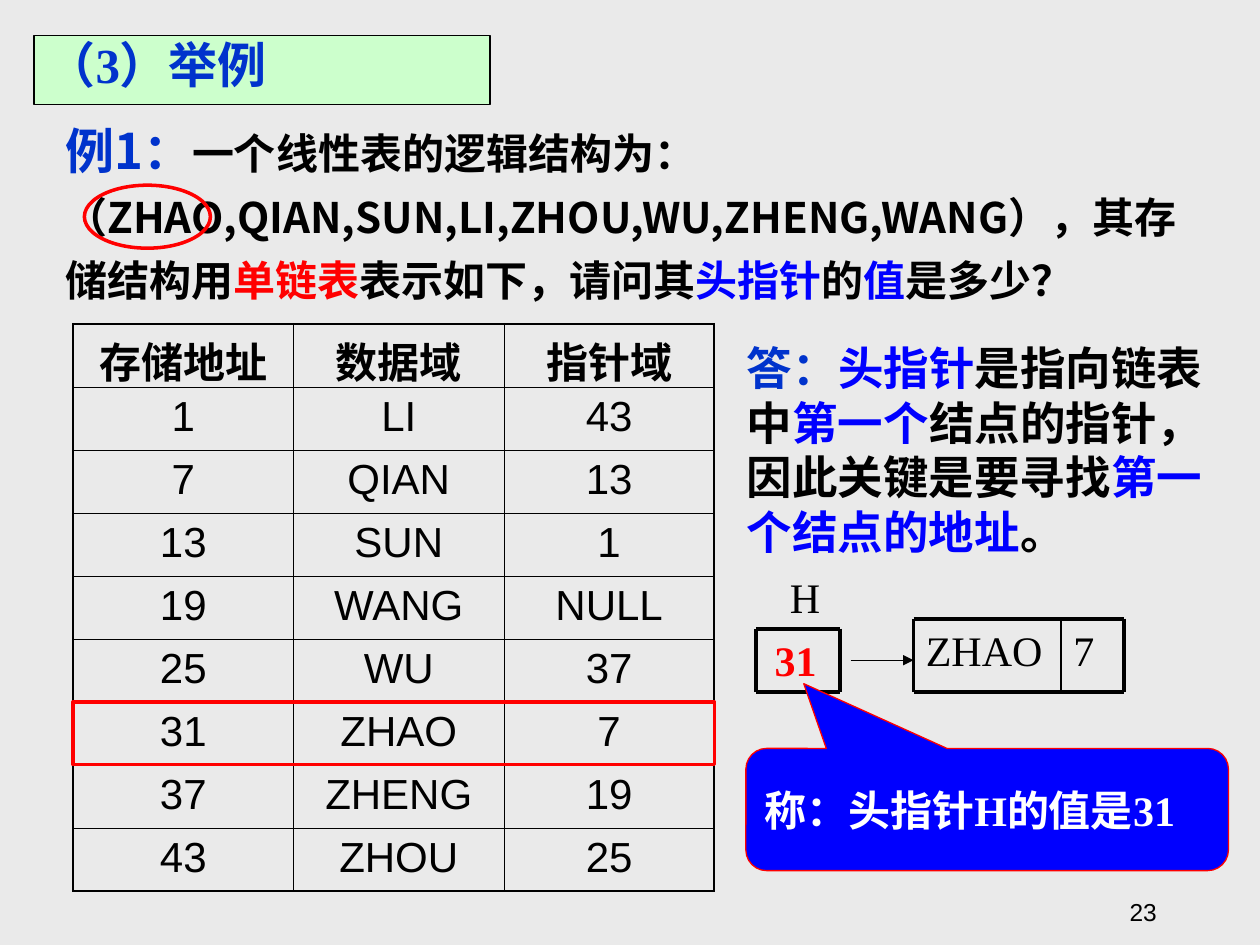
import pptx
import pptx.util
import pptx.dml.color
import pptx.enum.shapes
import pptx.enum.text
import pptx.oxml.ns
import lxml.etree

Inches = pptx.util.Inches
Pt = pptx.util.Pt
RGBColor = pptx.dml.color.RGBColor
SHAPES = pptx.enum.shapes.MSO_SHAPE
ALIGN = pptx.enum.text.PP_ALIGN
ANCHOR = pptx.enum.text.MSO_ANCHOR
qn = pptx.oxml.ns.qn

BACKGROUND = RGBColor(0xEA, 0xEA, 0xEA)
MINT = RGBColor(0xCC, 0xFF, 0xCC)
NAVY = RGBColor(0x00, 0x33, 0xCC)
BLUE = RGBColor(0x00, 0x00, 0xFF)
RED = RGBColor(0xFF, 0x00, 0x00)
BLACK = RGBColor(0x00, 0x00, 0x00)
WHITE = RGBColor(0xFF, 0xFF, 0xFF)

SANS, SERIF, ARIAL = "Noto Sans CJK SC", "Times New Roman", "Arial"

NODES = [
    ("存储地址", "数据域", "指针域"),
    ("1", "LI", "43"),
    ("7", "QIAN", "13"),
    ("13", "SUN", "1"),
    ("19", "WANG", "NULL"),
    ("25", "WU", "37"),
    ("31", "ZHAO", "7"),
    ("37", "ZHENG", "19"),
    ("43", "ZHOU", "25"),
]
HEAD_ROW = 6


def style(run, size, face, color, bold=False):
    """Format one run, with the sans face for Chinese characters."""
    run.font.size, run.font.name, run.font.bold = Pt(size), face, bold
    run.font.color.rgb = color
    lxml.etree.SubElement(run._r.get_or_add_rPr(), qn("a:ea"), typeface=SANS)


def write(frame, parts, size, bold=False, align=ALIGN.LEFT):
    """Fill a frame with one paragraph of (text, face, colour) parts."""
    paragraph = frame.paragraphs[0]
    paragraph.alignment = align
    for text, face, color in parts:
        run = paragraph.add_run()
        run.text = text
        style(run, size, face, color, bold)
    return paragraph


def add_text(slide, box, parts, size, bold=False, align=ALIGN.LEFT, wrap=True):
    """Add a text box holding one paragraph."""
    frame = slide.shapes.add_textbox(*map(Inches, box)).text_frame
    frame.word_wrap = wrap
    return write(frame, parts, size, bold, align)


def add_outline(slide, kind, box, color, width, fill=None):
    """Add a preset shape with an outline and an optional fill."""
    shape = slide.shapes.add_shape(kind, *map(Inches, box))
    shape.shadow.inherit = False
    shape.line.color.rgb, shape.line.width = color, Pt(width)
    if fill is None:
        shape.fill.background()
    else:
        shape.fill.solid()
        shape.fill.fore_color.rgb = fill
    return shape


def add_line(slide, x1, y1, x2, y2, width, arrow=False):
    """Add a straight black line, with an arrowhead if asked."""
    line = slide.shapes.add_connector(
        pptx.enum.shapes.MSO_CONNECTOR.STRAIGHT, *map(Inches, (x1, y1, x2, y2)))
    line.line.color.rgb, line.line.width = BLACK, Pt(width)
    if arrow:
        lxml.etree.SubElement(line.line._get_or_add_ln(), qn("a:tailEnd"), type="triangle")
    lxml.etree.SubElement(line._element.spPr, qn("a:effectLst"))


def add_frame(slide, left, top, width, height):
    """Draw the four thick edges of a memory cell."""
    right, bottom = left + width, top + height
    for edge in ((left, top, right, top), (left, bottom, right, bottom),
                 (left, top, left, bottom), (right, top, right, bottom)):
        add_line(slide, *edge, 2.25)


def set_borders(cell, widths):
    """Give a cell black left, right, top and bottom borders."""
    properties = cell._tc.get_or_add_tcPr()
    for index, (side, width) in enumerate(zip(("lnL", "lnR", "lnT", "lnB"), widths)):
        border = lxml.etree.Element(qn("a:" + side), w=str(Pt(width)))
        fill = lxml.etree.SubElement(border, qn("a:solidFill"))
        lxml.etree.SubElement(fill, qn("a:srgbClr"), val=str(BLACK))
        properties.insert(index, border)


def add_title(slide, box):
    """Place and format the section title."""
    title = slide.shapes.title
    title.left, title.top, title.width, title.height = map(Inches, box)
    title.fill.solid()
    title.fill.fore_color.rgb = MINT
    title.line.color.rgb, title.line.width = BLACK, Pt(0.75)
    title.text_frame.vertical_anchor = ANCHOR.TOP
    write(title.text_frame, [("（3）举例", SERIF, NAVY)], 28, True).line_spacing = 0.9


def add_question(slide, box):
    """Write the exercise and circle its first element."""
    question = add_text(slide, box, [
        ("例1：", SANS, NAVY),
        ("一个线性表的逻辑结构为：（ZHAO,QIAN,SUN,LI,ZHOU,WU,ZHENG,WANG），其存储结构用", SANS, BLACK),
        ("单链表", SANS, RED), ("表示如下，", SANS, BLACK), ("请问其", SERIF, BLACK),
        ("头指针", SERIF, BLUE), ("的", SERIF, BLACK), ("值", SERIF, BLUE),
        ("是多少？", SERIF, BLACK)], 24, True)
    question.line_spacing = 1.25
    question.runs[0].font.size = Pt(28)
    left, top = box[:2]
    add_outline(slide, SHAPES.OVAL, (left + 0.25, top + 0.68, 1, 0.5), RED, 2)


def add_storage_table(slide, box):
    """Build the storage table and frame the row of the first node."""
    left, top, width, height = box
    last_row, last_column = len(NODES) - 1, len(NODES[0]) - 1
    table = slide.shapes.add_table(len(NODES), len(NODES[0]), *map(Inches, box)).table
    table.first_row = table.horz_banding = False
    for column, column_width in zip(table.columns, (1.75, 1.67, 1.67)):
        column.width = Inches(column_width)
    for r, node in enumerate(NODES):
        for c, value in enumerate(node):
            cell = table.cell(r, c)
            cell.fill.background()
            write(cell.text_frame, [(value, ARIAL, BLACK)], 24, r == 0, ALIGN.CENTER)
            outer = (c == 0, c == last_column, r == 0, r == last_row)
            set_borders(cell, [1.08 if edge else 0.45 for edge in outer])
    row_height = height / len(NODES)
    add_outline(slide, SHAPES.RECTANGLE,
                (left, top + HEAD_ROW * row_height, width, row_height), RED, 2)


def add_answer(slide, box):
    """Write the explanation of the head pointer."""
    add_text(slide, box, [
        ("答：", SERIF, NAVY), ("头指针", SANS, BLUE), ("是指向链表中", SANS, BLACK),
        ("第一个", SANS, BLUE), ("结点的指针，因此关键是要寻找", SANS, BLACK),
        ("第一个结点的地址", SANS, BLUE), ("。", SANS, BLACK)], 26, True)


def add_pointer_diagram(slide, box):
    """Draw the head pointer H leading to the first node."""
    left, top, width, height = box
    node_left, node_top, divider = left + 1.25, top + 0.42, left + 2.42
    right = left + width
    node_height, head_top = top + height - node_top, top + 0.5
    for text, x, text_width in (("7", divider, 0.5), ("ZHAO", node_left, 1.17)):
        add_text(slide, (x, node_top, text_width, node_height), [(text, SERIF, BLACK)], 24)
    add_frame(slide, node_left, node_top, right - node_left, node_height)
    add_line(slide, divider, node_top, divider, top + height, 1)
    add_frame(slide, left, head_top, 0.67, 0.5)
    add_line(slide, left + 0.75, head_top + 0.25, node_left, head_top + 0.25, 0.75, True)
    add_text(slide, (left + 0.17, top, 0.44, 0.5), [("H", SERIF, BLACK)], 24)
    add_text(slide, (left + 0.05, head_top, 0.53, 0.5), [("31", SERIF, RED)], 24, True, wrap=False)


def add_callout(slide, box):
    """Add the callout that states the value of H."""
    callout = add_outline(slide, SHAPES.ROUNDED_RECTANGULAR_CALLOUT, box, RED, 0.75, BLUE)
    for index, value in enumerate((-0.38, -1.03, 0.17)):
        callout.adjustments[index] = value
    callout.text_frame.vertical_anchor = ANCHOR.MIDDLE
    write(callout.text_frame, [("称：头指针H的值是31", SERIF, WHITE)], 24, True)


def add_page_number(slide, box):
    """Write the page number at the foot."""
    frame = slide.shapes.add_textbox(*map(Inches, box)).text_frame
    frame.word_wrap, frame.vertical_anchor = True, ANCHOR.BOTTOM
    write(frame, [("23", ARIAL, BLACK)], 14, align=ALIGN.RIGHT)


def main():
    """Build the slide and save it."""
    deck = pptx.Presentation()
    deck.slide_width, deck.slide_height = Inches(10), Inches(7.5)
    slide = deck.slides.add_slide(deck.slide_layouts[5])
    slide.background.fill.solid()
    slide.background.fill.fore_color.rgb = BACKGROUND
    add_title(slide, (0.27, 0.28, 3.62, 0.55))
    add_question(slide, (0.42, 0.79, 9.25, 1.69))
    add_storage_table(slide, (0.58, 2.57, 5.09, 4.5))
    add_answer(slide, (5.83, 2.65, 3.97, 1.84))
    add_pointer_diagram(slide, (6, 4.49, 2.92, 1))
    add_callout(slide, (5.92, 5.94, 3.83, 0.97))
    add_page_number(slide, (7.2, 6.9, 2.08, 0.5))
    deck.save("out.pptx")


if __name__ == "__main__":
    main()
